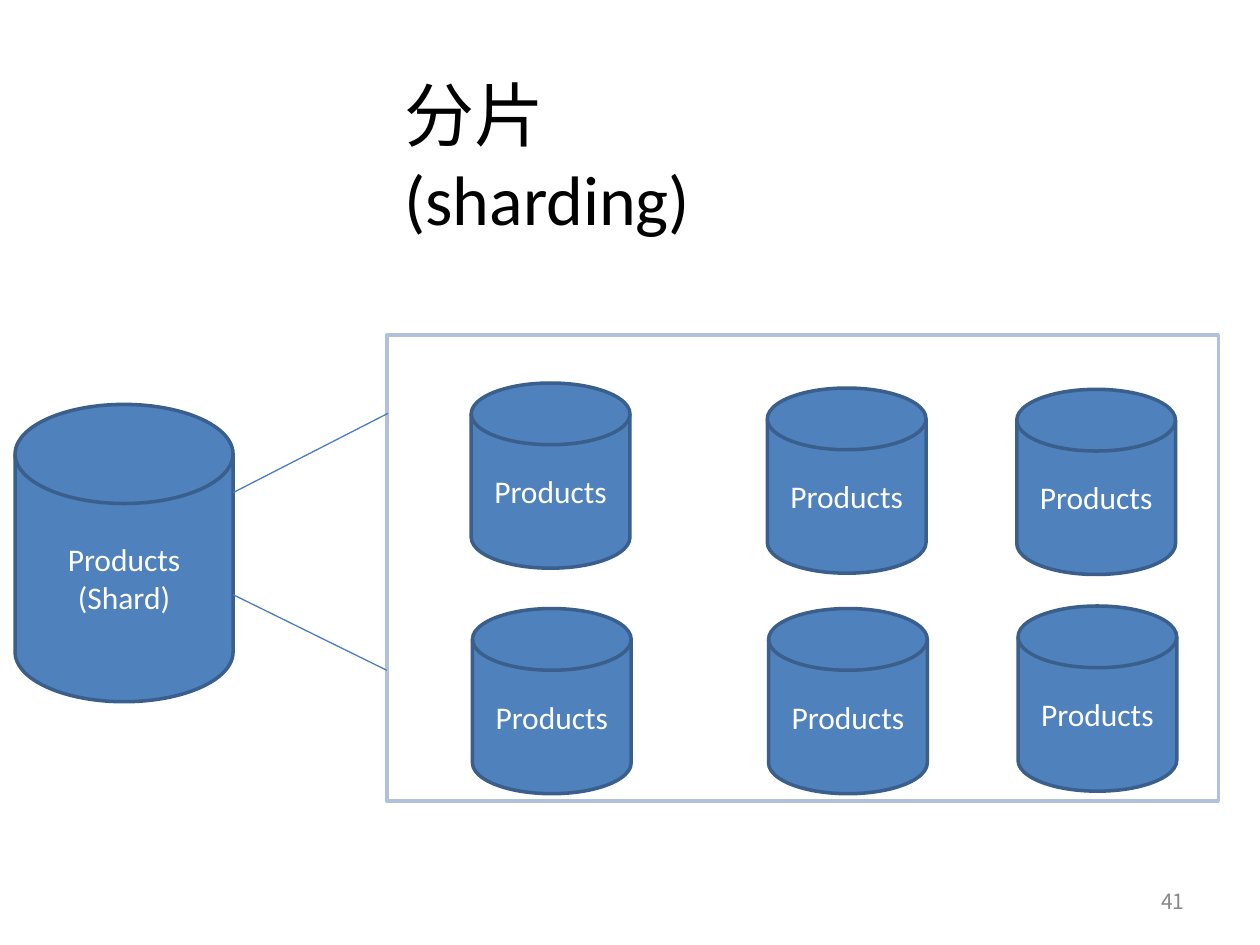
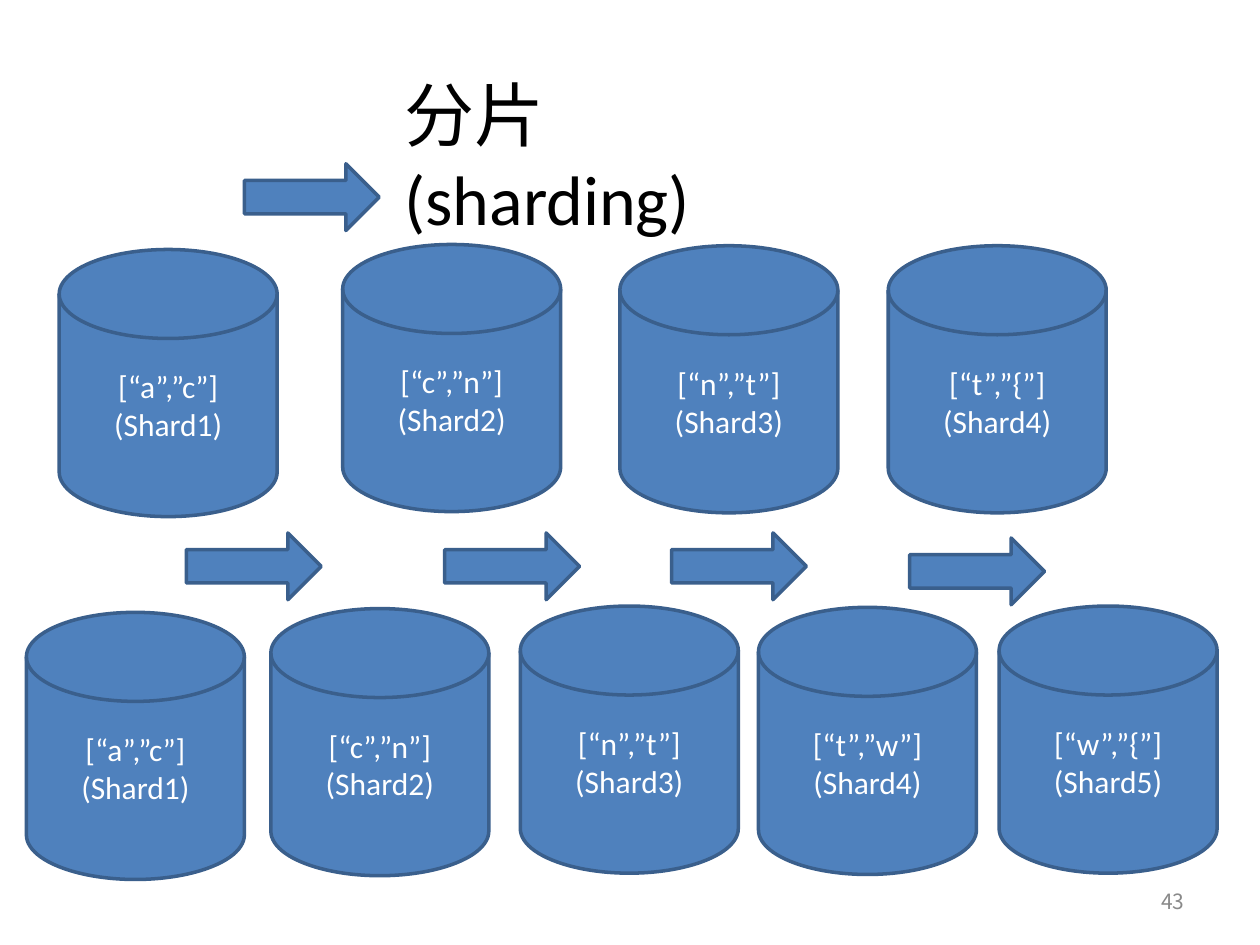
import lxml.etree
import pptx
import pptx.dml.color
import pptx.enum.shapes
import pptx.enum.text
import pptx.oxml.ns
import pptx.util

Inches = pptx.util.Inches
Shape = pptx.enum.shapes.MSO_SHAPE
Align = pptx.enum.text.PP_ALIGN
Anchor = pptx.enum.text.MSO_ANCHOR

# Content
TITLE = "分片\v(sharding)"
PAGE_NUMBERS = ("41", "43")
SOURCE_SHARD = ("Products", "(Shard)")
PRODUCT_PLACES = [(3.74, 3.04), (6.09, 3.08), (3.75, 4.83),
                  (6.1, 4.83), (8.07, 3.09), (8.08, 4.81)]
FAN_LINES = [((1.85, 3.91), (3.08, 3.28)), ((1.85, 4.72), (3.07, 5.32))]
# Each shard: key range, left, top
SHARDS_BEFORE = [("[“a”,”c”]", 0.47, 1.98), ("[“c”,”n”]", 2.72, 1.94),
                 ("[“n”,”t”]", 4.92, 1.95), ("[“t”,”{”]", 7.05, 1.95)]
SHARDS_AFTER = [("[“a”,”c”]", 0.21, 4.86), ("[“c”,”n”]", 2.15, 4.83),
                ("[“n”,”t”]", 4.13, 4.81), ("[“t”,”w”]", 6.02, 4.82),
                ("[“w”,”{”]", 7.93, 4.81)]
ARROW_PLACES = [(1.94, 1.3), (1.48, 4.23), (3.53, 4.23), (5.33, 4.23), (7.22, 4.27)]

# Shared look
THEME = {
    "fill": "4F81BD", "outline": "3A5F8C", "fan": "4B7EBC",
    "frame": "B2C1DB", "white": "FFFFFF", "black": "000000", "grey": "898989",
    "latin": "Calibri", "asian": "Noto Sans CJK SC",
    "title_size": 40, "label_size": 18, "number_size": 12,
}
PRODUCT_SIZE = (1.26, 1.47)
SHARD_SIZE = (1.73, 2.12)
ARROW_SIZE = (1.07, 0.53)


def color(name):
    return pptx.dml.color.RGBColor.from_string(THEME[name])


def inches(*lengths):
    return [Inches(length) for length in lengths]


def write(box, lines, size="label_size", ink="white", font="latin",
          align=Align.CENTER, anchor=Anchor.MIDDLE):
    frame = box.text_frame
    frame.word_wrap = True
    frame.auto_size = pptx.enum.text.MSO_AUTO_SIZE.NONE
    frame.vertical_anchor = anchor
    for index, line in enumerate(lines):
        para = frame.add_paragraph() if index else frame.paragraphs[0]
        para.text = line
        para.alignment = align
        for span in para.runs:
            span.font.size = pptx.util.Pt(THEME[size])
            span.font.name = THEME[font]
            span.font.color.rgb = color(ink)
            lxml.etree.SubElement(span.font._element, pptx.oxml.ns.qn("a:ea"),
                                  typeface=THEME["asian"])


def add_block(page, kind, place, size, lines=(), fill="fill", outline="outline"):
    block = page.shapes.add_shape(kind, *inches(*place, *size))
    block.shadow.inherit = False
    block.fill.solid()
    block.fill.fore_color.rgb = color(fill)
    block.line.color.rgb = color(outline)
    block.line.width = pptx.util.Pt(2)
    write(block, lines)


def add_disk(page, place, size, lines):
    add_block(page, Shape.FLOWCHART_MAGNETIC_DISK, place, size, lines)


def add_fan_line(page, start, end):
    line = page.shapes.add_connector(pptx.enum.shapes.MSO_CONNECTOR.STRAIGHT,
                                     *inches(*start, *end))
    line.line.color.rgb = color("fan")
    line.line.width = pptx.util.Pt(0.75)
    lxml.etree.SubElement(line._element.spPr, pptx.oxml.ns.qn("a:effectLst"))


def add_page(deck, number):
    page = deck.slides.add_slide(deck.slide_layouts.get_by_name("Title Only"))
    number_box = page.shapes.add_textbox(*inches(7.17, 6.95, 2.33, 0.4))
    write(number_box, [number], size="number_size", ink="grey", font="asian",
          align=Align.RIGHT)
    title = page.shapes.title
    title.left, title.top, title.width, title.height = inches(3.11, 0.52, 3.62, 0.77)
    write(title, [TITLE], size="title_size", ink="black", align=Align.LEFT,
          anchor=Anchor.TOP)
    return page


def build_split(deck):
    page = add_page(deck, PAGE_NUMBERS[0])
    add_disk(page, (0.12, 3.21), (1.73, 2.36), SOURCE_SHARD)
    add_block(page, Shape.RECTANGLE, (3.07, 2.66), (6.6, 3.7),
              fill="white", outline="frame")
    for start, end in FAN_LINES:
        add_fan_line(page, start, end)
    for place in PRODUCT_PLACES:
        add_disk(page, place, PRODUCT_SIZE, ["Products"])


def build_rebalance(deck):
    page = add_page(deck, PAGE_NUMBERS[1])
    for row in (SHARDS_BEFORE, SHARDS_AFTER):
        for order, (keys, left, top) in enumerate(row, start=1):
            add_disk(page, (left, top), SHARD_SIZE, [keys, f"(Shard{order})"])
    for place in ARROW_PLACES:
        add_block(page, Shape.RIGHT_ARROW, place, ARROW_SIZE)


def main():
    deck = pptx.Presentation()
    deck.slide_width, deck.slide_height = inches(10, 7.5)
    build_split(deck)
    build_rebalance(deck)
    deck.save("out.pptx")


if __name__ == "__main__":
    main()
